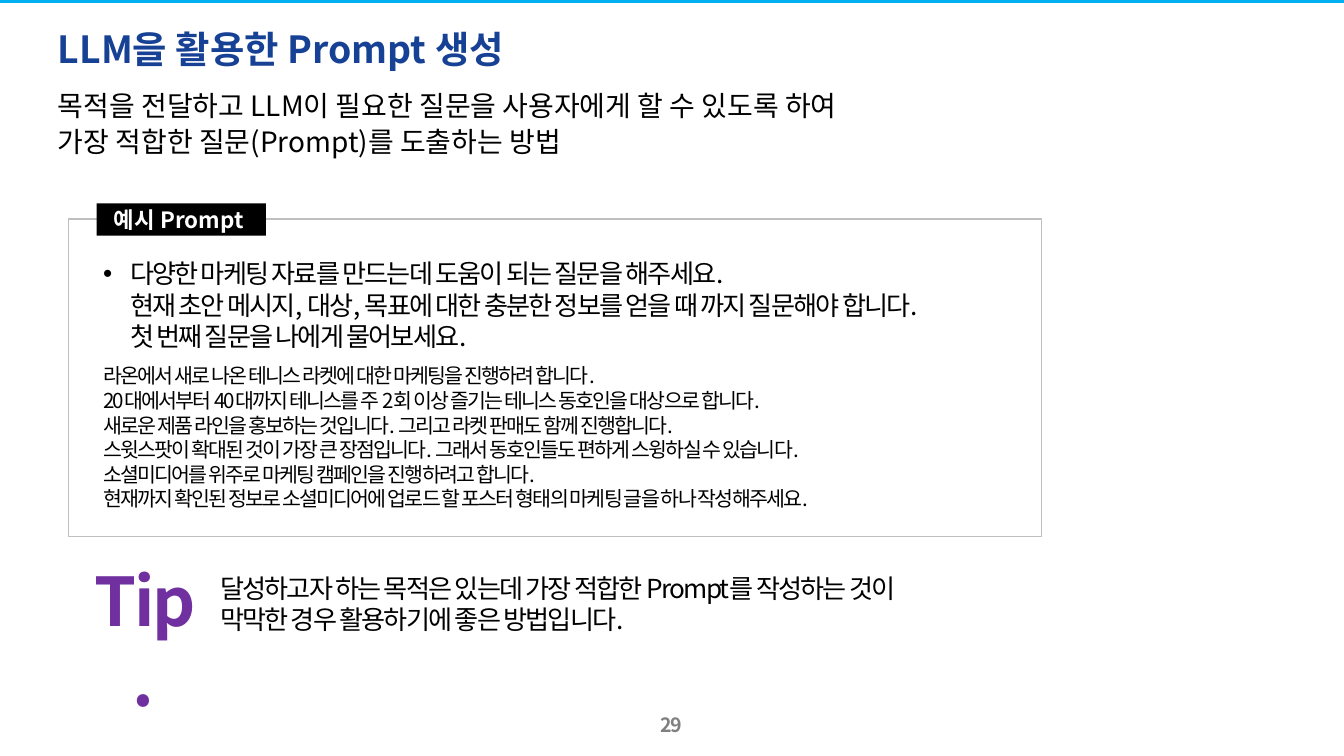
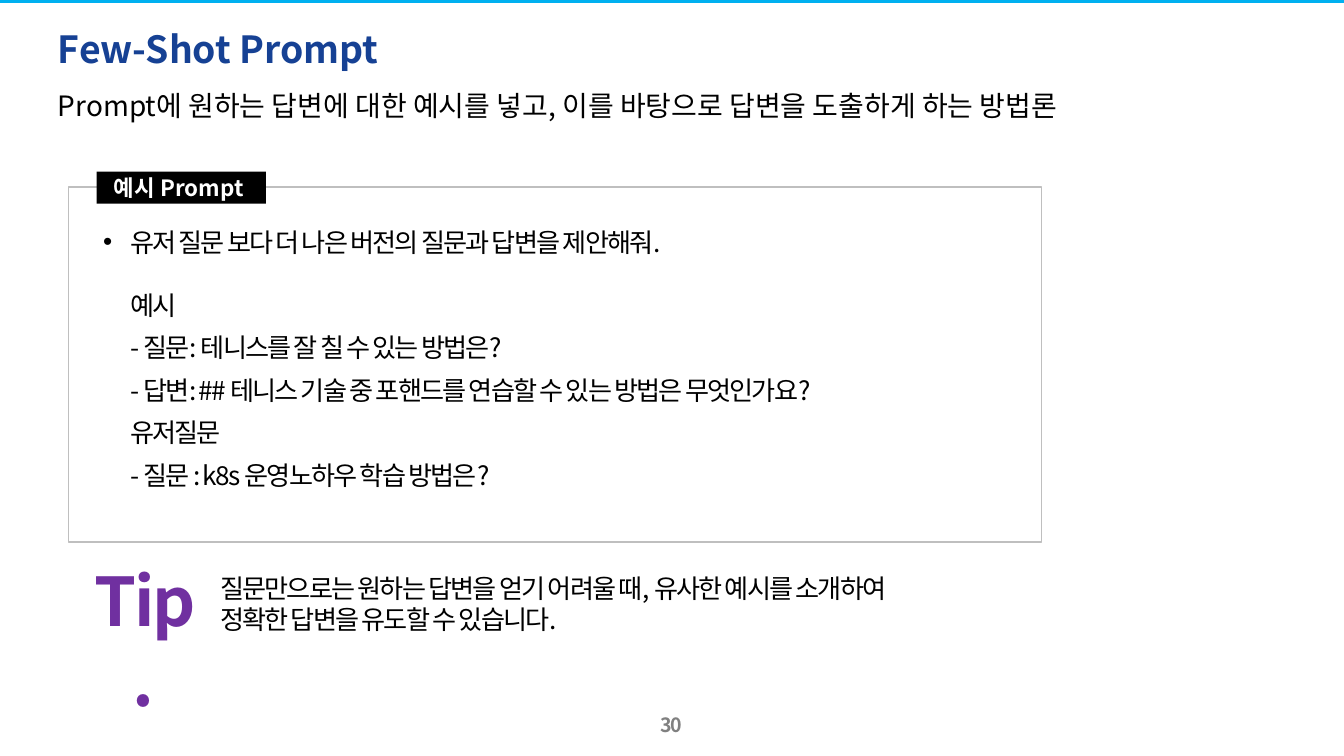
import pptx
import pptx.util
import pptx.dml.color
import pptx.enum.shapes
import pptx.enum.text
import pptx.oxml.ns
from lxml import etree

Pt = pptx.util.Pt
ALIGN = pptx.enum.text.PP_ALIGN
ANCHOR = pptx.enum.text.MSO_ANCHOR
FIT = pptx.enum.text.MSO_AUTO_SIZE
qn = pptx.oxml.ns.qn

FONT = "Noto Sans CJK KR"
BLACK = "000000"
WHITE = "FFFFFF"
SKY = "00B0F0"
NAVY = "164194"
PURPLE = "7030A0"
GREY = "808080"
BORDER = "BFBFBF"
STEP = 14.4


def color(value):
    return pptx.dml.color.RGBColor.from_string(value)


class Deck:
    def __init__(self):
        self.prs = pptx.Presentation()
        self.prs.slide_width = Pt(720)
        self.prs.slide_height = Pt(405)
        self.slide = None

    def paragraph(self, frame, first, text, size, ink=BLACK, bold=False, spc=0,
                  align=None, spacing=None, after=0, left=0, indent=0, bullet=None):
        para = frame.paragraphs[0] if first else frame.add_paragraph()
        if align is not None:
            para.alignment = align
        if spacing:
            para.line_spacing = spacing
        if after:
            para.space_after = Pt(after)
        props = para._p.get_or_add_pPr()
        if left or indent:
            props.set("marL", str(Pt(left)))
            props.set("indent", str(Pt(indent)))
        if bullet:
            etree.SubElement(props, qn("a:buFont")).set("typeface", "Arial")
            etree.SubElement(props, qn("a:buChar")).set("char", bullet)
        for number, line in enumerate(text.split("\n")):
            if number:
                para.add_line_break()
            run = para.add_run()
            run.text = line
            run.font.size = Pt(size)
            run.font.bold = bold
            run.font.color.rgb = color(ink)
            run.font.name = FONT
            run_props = run._r.get_or_add_rPr()
            etree.SubElement(run_props, qn("a:ea")).set("typeface", FONT)
            if spc:
                run_props.set("spc", str(int(spc * 100)))

    def text(self, place, paragraphs, inset=True, wrap=True, anchor=ANCHOR.TOP):
        frame = self.slide.shapes.add_textbox(*map(Pt, place)).text_frame
        frame.word_wrap = wrap
        frame.auto_size = FIT.SHAPE_TO_FIT_TEXT
        frame.vertical_anchor = anchor
        if not inset:
            frame.margin_left = frame.margin_right = 0
            frame.margin_top = frame.margin_bottom = 0
        for number, options in enumerate(paragraphs):
            self.paragraph(frame, number == 0, **options)

    def rect(self, place, fill, line=None):
        shape = self.slide.shapes.add_shape(
            pptx.enum.shapes.MSO_SHAPE.RECTANGLE, *map(Pt, place))
        shape.shadow.inherit = False
        shape.fill.solid()
        shape.fill.fore_color.rgb = color(fill)
        if line:
            shape.line.color.rgb = color(line)
            shape.line.width = Pt(0.75)
        else:
            shape.line.fill.background()
        return shape

    def page(self, number, title, summary):
        self.slide = self.prs.slides.add_slide(self.prs.slide_layouts[6])
        self.text((346.3, 378, 26.6, 20.2),
                  [dict(text=str(number), size=10.5, ink=GREY, bold=True,
                        spc=-0.5, align=ALIGN.CENTER)],
                  wrap=False, anchor=ANCHOR.MIDDLE)
        self.rect((-0.7, -2, 720.7, 3.6), SKY)
        self.text((31, 16.6, 521.3, 21.6),
                  [dict(text=title, size=20, ink=NAVY, bold=True, spacing=0.9)],
                  inset=False)
        self.text((31, 46.8, 658, 18.2 * len(summary)),
                  [dict(text=line, size=15, spacing=1.05) for line in summary],
                  inset=False)

    def example(self, top, height, text_height, paragraphs):
        self.rect((36.7, top, 521.3, height), WHITE, BORDER)
        label = self.rect((51.8, top - 8.4, 90.7, 17.2), BLACK).text_frame
        label.vertical_anchor = ANCHOR.MIDDLE
        self.paragraph(label, True, "예시 Prompt ", 12, WHITE, True,
                       align=ALIGN.CENTER)
        self.text((48.2, top + 17.2, 504.7, text_height), paragraphs)

    def tip(self, advice):
        self.text((110.9, 303.1, 436.3, 41), [dict(text=advice, size=14, spc=-1)])
        self.text((43.2, 295.9, 67.7, 51.1),
                  [dict(text="Tip.", size=36, ink=PURPLE, bold=True, spc=-1,
                        align=ALIGN.CENTER)])


def request(text, after=6):
    return dict(text=text, size=14, spc=-1, after=after, left=STEP,
                indent=-STEP, bullet="•")


def detail(text):
    return dict(text=text, size=14, spc=-1, after=6, indent=STEP)


def reply(text):
    return dict(text=text, size=11, spc=-1)


def main():
    deck = Deck()

    deck.page(29, "LLM을 활용한 Prompt 생성", [
        "목적을 전달하고 LLM이 필요한 질문을 사용자에게 할 수 있도록 하여",
        "가장 적합한 질문(Prompt)를 도출하는 방법",
    ])
    replies = [
        "라온에서 새로 나온 테니스 라켓에 대한 마케팅을 진행하려 합니다.",
        "20대에서부터 40대까지 테니스를 주 2회 이상 즐기는 테니스 동호인을 대상으로 합니다.",
        "새로운 제품 라인을 홍보하는 것입니다. 그리고 라켓 판매도 함께 진행합니다.",
        "스윗스팟이 확대된 것이 가장 큰 장점입니다. 그래서 동호인들도 편하게 스윙하실 수 있습니다.",
        "소셜미디어를 위주로 마케팅 캠페인을 진행하려고 합니다.",
        "현재까지 확인된 정보로 소셜미디어에 업로드 할 포스터 형태의 마케팅 글을 하나 작성해주세요.",
    ]
    deck.example(117.4, 169.9, 157.7, [
        request("다양한 마케팅 자료를 만드는데 도움이 되는 질문을 해주세요.\n"
                "현재 초안 메시지, 대상, 목표에 대한 충분한 정보를 얻을 때 까지 질문해야 합니다.\n"
                "첫 번째 질문을 나에게 물어보세요."),
        *map(reply, replies),
    ])
    deck.tip("달성하고자 하는 목적은 있는데 가장 적합한 Prompt를 작성하는 것이\n"
             "막막한 경우 활용하기에 좋은 방법입니다.")

    deck.page(30, "Few-Shot Prompt", [
        "Prompt에 원하는 답변에 대한 예시를 넣고, 이를 바탕으로 답변을 도출하게 하는 방법론",
    ])
    details = [
        "예시",
        "- 질문: 테니스를 잘 칠 수 있는 방법은?",
        "- 답변: ## 테니스 기술 중 포핸드를 연습할 수 있는 방법은 무엇인가요?",
        "유저질문",
        "- 질문 : k8s 운영노하우 학습 방법은?",
    ]
    deck.example(100.3, 190.1, 150.5, [
        request("유저 질문 보다 더 나은 버전의 질문과 답변을 제안해줘.", after=17),
        *map(detail, details),
    ])
    deck.tip("질문만으로는 원하는 답변을 얻기 어려울 때, 유사한 예시를 소개하여\n"
             "정확한 답변을 유도할 수 있습니다.")

    deck.prs.save("out.pptx")


if __name__ == "__main__":
    main()
